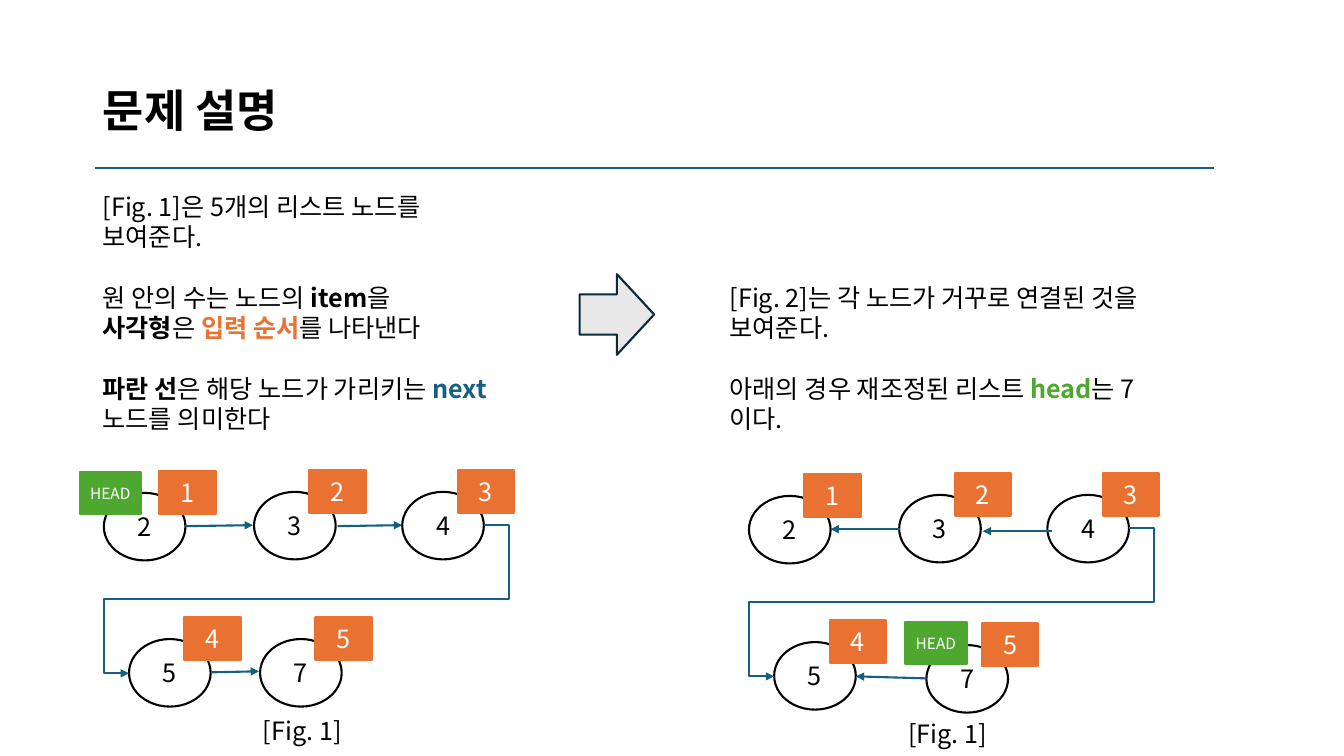
import pptx
import pptx.util
import pptx.dml.color
import pptx.enum.shapes
import pptx.enum.text
import pptx.oxml.ns
import lxml.etree

FONT = "Noto Sans CJK KR"
BLACK, WHITE = "000000", "FFFFFF"
BLUE, ORANGE, GREEN = "156082", "E97132", "4EA72E"
SHAPE = pptx.enum.shapes.MSO_SHAPE
CONNECTOR = pptx.enum.shapes.MSO_CONNECTOR
ALIGN = pptx.enum.text.PP_ALIGN
ANCHOR = pptx.enum.text.MSO_ANCHOR
LINE_PITCH = 21.6
NODE_W, NODE_H = 8.1, 6.7
BADGE_W, HEAD_W, TAG_H = 5.6, 6.1, 4.2
qn = pptx.oxml.ns.qn


def grid(*cells):
    return [pptx.util.Inches(cell / 10) for cell in cells]


def rgb(color):
    return pptx.dml.color.RGBColor.from_string(color)


def add_run(p, text, size=18, color=BLACK, bold=False):
    r = p.add_run()
    r.text = text
    r.font.name = FONT
    r.font.size = pptx.util.Pt(size)
    r.font.bold = bold
    r.font.color.rgb = rgb(color)
    ea = lxml.etree.SubElement(r.font._element, qn("a:ea"))
    ea.set("typeface", FONT)


def add_block(shapes, kind, box, fill, line, text="", size=18, color=WHITE):
    sp = shapes.add_shape(kind, *grid(*box))
    sp.shadow.inherit = False
    sp.fill.solid()
    sp.fill.fore_color.rgb = rgb(fill)
    sp.line.color.rgb = rgb(line)
    sp.line.width = pptx.util.Pt(1.5)
    if text:
        tf = sp.text_frame
        tf.margin_left = tf.margin_right = tf.margin_top = tf.margin_bottom = 0
        tf.vertical_anchor = ANCHOR.MIDDLE
        tf.paragraphs[0].alignment = ALIGN.CENTER
        add_run(tf.paragraphs[0], text, size, color)


def add_line(s, start, end, kind=CONNECTOR.STRAIGHT, arrow=True):
    c = s.shapes.add_connector(kind, *grid(*start, *end))
    c.line.color.rgb = rgb(BLUE)
    c.line.width = pptx.util.Pt(1.5)
    if arrow:
        tail = lxml.etree.SubElement(c.line._get_or_add_ln(), qn("a:tailEnd"))
        tail.set("type", "triangle")
    lxml.etree.SubElement(c._element.spPr, qn("a:effectLst"))
    return c


def add_wrap_arrow(s, start, end):
    c = add_line(s, start, end, CONNECTOR.ELBOW)
    geom = c._element.spPr.find(qn("a:prstGeom"))
    geom.set("prst", "bentConnector5")
    guides = geom.find(qn("a:avLst"))
    for i, value in enumerate((-7100, 50000, 107100), 1):
        gd = lxml.etree.SubElement(guides, qn("a:gd"))
        gd.set("name", f"adj{i}")
        gd.set("fmla", f"val {value}")


def add_title(s, box):
    x, y, w, h = box
    sp = s.shapes.title
    sp.left, sp.top, sp.width, sp.height = grid(*box)
    tf = sp.text_frame
    tf.vertical_anchor = ANCHOR.MIDDLE
    p = tf.paragraphs[0]
    p.alignment = ALIGN.LEFT
    p.line_spacing = 0.9
    add_run(p, "문제 설명", 32, bold=True)
    rule_y = y + h - 1.8
    add_line(s, (x + 0.2, rule_y), (x + w - 3.8, rule_y), arrow=False)


def add_description(s, box, sections, skipped_lines=0):
    tf = s.shapes.add_textbox(*grid(*box)).text_frame
    tf.word_wrap = True
    tf.margin_top = pptx.util.Inches(0.05) + pptx.util.Pt(LINE_PITCH * skipped_lines)
    p = tf.paragraphs[0]
    for i, section in enumerate(sections):
        for j, runs in enumerate(section):
            if i or j:
                p = tf.add_paragraph()
            p.line_spacing = pptx.util.Pt(LINE_PITCH)
            p.space_before = pptx.util.Pt(LINE_PITCH if i and not j else 0)
            for text, color, bold in runs:
                add_run(p, text, color=color, bold=bold)


def add_node(s, x, y, item, order):
    shapes = s.shapes.add_group_shape().shapes
    add_block(shapes, SHAPE.OVAL, (x, y, NODE_W, NODE_H), WHITE, BLACK, item, color=BLACK)
    add_block(shapes, SHAPE.RECTANGLE, (x + 5.5, y - 2.15, BADGE_W, TAG_H), ORANGE, ORANGE, order)


def add_linked_list(s, box, last_node, arrows, head):
    x, y, w, h = box
    spots = [(0, 2.3), (14.9, 2.2), (29.6, 2.2), (2.5, 16.8), last_node]
    for order, ((dx, dy), item) in enumerate(zip(spots, "23457"), 1):
        add_node(s, x + dx, y + dy, item, str(order))
    for x1, y1, x2, y2 in arrows:
        add_line(s, (x + x1, y + y1), (x + x2, y + y2))
    add_wrap_arrow(s, (x + 37.7, y + 5.5), (x + 2.5, y + 20.2))
    tag = (x + head[0], y + head[1], HEAD_W, TAG_H)
    add_block(s.shapes, SHAPE.RECTANGLE, tag, GREEN, GREEN, "HEAD", 11)
    caption = s.shapes.add_textbox(*grid(x + 14.8, y + h, 10, TAG_H))
    caption.text_frame.word_wrap = False
    add_run(caption.text_frame.paragraphs[0], "[Fig. 1]")


def main():
    prs = pptx.Presentation()
    prs.slide_width, prs.slide_height = grid(133.33, 75)
    s = prs.slides.add_slide(prs.slide_layouts[5])
    add_title(s, (9.2, 4, 115, 14.5))
    add_description(s, (9.2, 18.5, 46.7, 25), [
        [[("[Fig. 1]은 5개의 리스트 노드를", BLACK, False)],
         [("보여준다.", BLACK, False)]],
        [[("원 안의 수는 노드의 ", BLACK, False), ("item", BLACK, True), ("을", BLACK, False)],
         [("사각형", BLACK, True), ("은 ", BLACK, False),
          ("입력 순서", ORANGE, True), ("를 나타낸다", BLACK, False)]],
        [[("파란 선", BLACK, True), ("은 해당 노드가 가리키는 ", BLACK, False),
          ("next ", BLUE, True), ("노드를 의미한다", BLACK, False)]],
    ])
    add_description(s, (71.4, 18.5, 46.7, 25), [
        [[("[Fig. 2]는 각 노드가 거꾸로 연결된 것을 보여준다.", BLACK, False)]],
        [[("아래의 경우 재조정된 리스트 ", BLACK, False),
          ("head", GREEN, True), ("는 7이다.", BLACK, False)]],
    ], skipped_lines=3)
    add_block(s.shapes, SHAPE.RIGHT_ARROW, (57.5, 27.2, 7.4, 8), "E8E8E8", "092A39")
    add_linked_list(
        s, (10.3, 46.6, 40.7, 23.9), (15.5, 16.8),
        [(8.1, 5.6, 14.8, 5.5), (23.2, 5.6, 29.6, 5.5), (10.7, 20.1, 15.4, 20)],
        (-2.4, 0.2))
    add_linked_list(
        s, (74.3, 46.9, 40.7, 23.9), (17.6, 17.1),
        [(15, 5.6, 8.1, 5.6), (30.1, 5.8, 23.2, 5.8), (17.6, 20.4, 10.6, 20.2)],
        (15.5, 14.8))
    prs.save("out.pptx")


if __name__ == "__main__":
    main()
